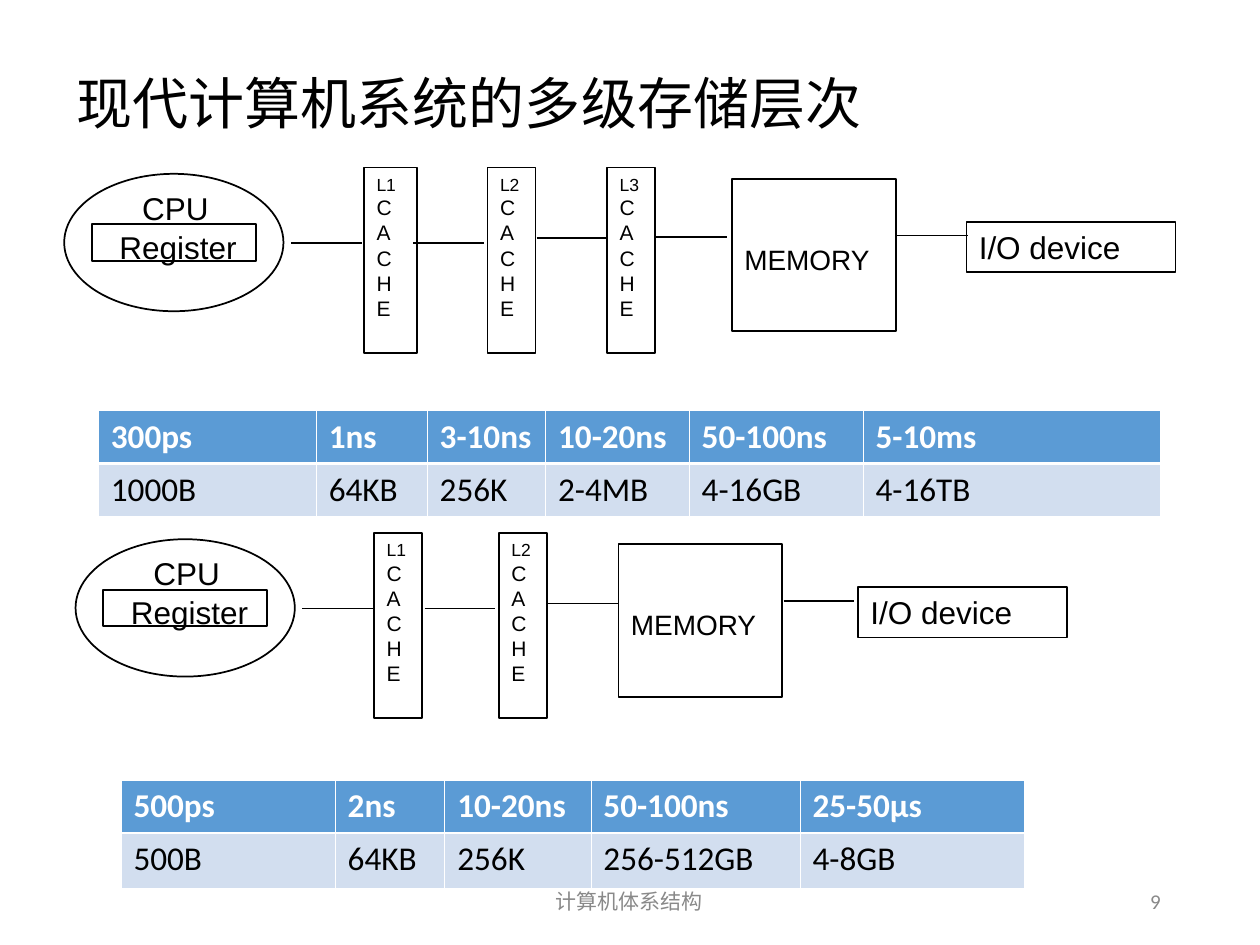
from pptx import Presentation
from pptx.dml.color import RGBColor
from pptx.enum.shapes import MSO_CONNECTOR, MSO_SHAPE
from pptx.enum.text import MSO_ANCHOR, PP_ALIGN
from pptx.oxml.ns import qn
from pptx.util import Inches, Pt
from lxml.etree import SubElement

COLORS = {
    "ink": "000000",
    "white": "FFFFFF",
    "footer": "898989",
    "header": "5B9BD5",
    "body": "D2DEEF",
}


def color(name):
    return RGBColor.from_string(COLORS[name])


def write_text(frame, lines, font="Arial", size=18, first_size=None, ink="ink",
               bold=False, align=PP_ALIGN.LEFT, anchor=MSO_ANCHOR.TOP, spacing=None):
    frame.word_wrap = True
    frame.vertical_anchor = anchor
    for index, line in enumerate(lines):
        paragraph = frame.paragraphs[0] if index == 0 else frame.add_paragraph()
        paragraph.text = line
        paragraph.alignment = align
        if spacing:
            paragraph.line_spacing = spacing
        paragraph.font.name = font
        paragraph.font.size = Pt(first_size if first_size and index == 0 else size)
        paragraph.font.bold = bold
        paragraph.font.color.rgb = color(ink)


class SlideBuilder:
    def __init__(self, slide):
        self.slide = slide
        self.line_width = Pt(1)
        self.table_font = "Calibri"
        self.table_size = 19

    def title(self, text, left, top, width, height):
        shape = self.slide.shapes.title
        shape.left, shape.top = Inches(left), Inches(top)
        shape.width, shape.height = Inches(width), Inches(height)
        write_text(shape.text_frame, [text], font="Calibri", size=32,
                   anchor=MSO_ANCHOR.MIDDLE, spacing=0.9)

    def label(self, text, left, top, width, height=0.4, **text_format):
        shape = self.slide.shapes.add_textbox(
            Inches(left), Inches(top), Inches(width), Inches(height))
        write_text(shape.text_frame, [text], **text_format)

    def box(self, left, top, width, height, lines=(), kind=MSO_SHAPE.RECTANGLE,
            **text_format):
        shape = self.slide.shapes.add_shape(
            kind, Inches(left), Inches(top), Inches(width), Inches(height))
        shape.shadow.inherit = False
        shape.fill.background()
        shape.line.color.rgb = color("ink")
        shape.line.width = self.line_width
        write_text(shape.text_frame, lines, **text_format)
        return shape

    def link(self, left, top, length=0.56):
        connector = self.slide.shapes.add_connector(
            MSO_CONNECTOR.STRAIGHT, Inches(left), Inches(top),
            Inches(left + length), Inches(top))
        connector.line.color.rgb = color("ink")
        connector.line.width = self.line_width
        SubElement(connector._element.spPr, qn("a:effectLst"))

    def cell_borders(self, cell, is_header):
        properties = cell._tc.get_or_add_tcPr()
        thick_side = "lnB" if is_header else "lnT"
        for side in ("lnL", "lnR", "lnT", "lnB"):
            width = Pt(1.47 if side == thick_side else 0.45)
            border = SubElement(properties, qn(f"a:{side}"), w=str(width))
            fill = SubElement(border, qn("a:solidFill"))
            SubElement(fill, qn("a:srgbClr"), val=COLORS["white"])

    def table(self, left, top, column_widths, row_heights, rows):
        table = self.slide.shapes.add_table(
            len(rows), len(column_widths), Inches(left), Inches(top),
            Inches(sum(column_widths)), Inches(sum(row_heights))).table
        for column, width in zip(table.columns, column_widths):
            column.width = Inches(width)
        for row_index, (row, height, values) in enumerate(
                zip(table.rows, row_heights, rows)):
            row.height = Inches(height)
            is_header = row_index == 0
            for cell, value in zip(row.cells, values):
                self.cell_borders(cell, is_header)
                cell.fill.solid()
                cell.fill.fore_color.rgb = color("header" if is_header else "body")
                write_text(cell.text_frame, [value], font=self.table_font,
                           size=self.table_size, bold=is_header,
                           ink="white" if is_header else "ink")

    def processor(self, left, top):
        self.box(left, top + 0.05, 1.74, 1.09, kind=MSO_SHAPE.OVAL)
        self.label("CPU", left + 0.52, top + 0.12, 0.94)
        self.box(left + 0.22, top + 0.45, 1.3, 0.29)
        self.label("Register", left + 0.34, top + 0.43, 1.16)

    def hierarchy(self, left, top, caches, memory_left, device_left, links):
        self.processor(left, top)
        for level, (cache_left, width) in enumerate(caches, start=1):
            self.box(left + cache_left, top, width, 1.47, [f"L{level}", *"CACHE"],
                     size=12, first_size=10)
        memory = self.box(left + memory_left, top + 0.09, 1.3, 1.21, ["MEMORY"],
                          size=16, anchor=MSO_ANCHOR.MIDDLE)
        memory.text_frame.margin_top = Inches(0.11)
        self.box(left + device_left, top + 0.43, 1.66, 0.4, ["I/O device"])
        for link_left, link_top in links:
            self.link(left + link_left, top + link_top)


def main():
    presentation = Presentation()
    presentation.slide_width, presentation.slide_height = Inches(10), Inches(7.5)
    slide = presentation.slides.add_slide(presentation.slide_layouts[5])
    builder = SlideBuilder(slide)

    builder.title("现代计算机系统的多级存储层次", 0.51, 0.36, 9.02, 0.97)
    footer_format = {"font": "Calibri", "size": 12, "ink": "footer",
                     "anchor": MSO_ANCHOR.MIDDLE}
    builder.label("计算机体系结构", 3.31, 6.95, 3.37, align=PP_ALIGN.CENTER, **footer_format)
    builder.label("9", 7.06, 6.95, 2.25, align=PP_ALIGN.RIGHT, **footer_format)

    common_links = [(1.8, 0.6), (2.77, 0.6), (3.75, 0.56)]
    builder.hierarchy(0.51, 1.33, [(2.38, 0.42), (3.36, 0.38), (4.31, 0.38)], 5.3, 7.16,
                      common_links + [(4.7, 0.55), (6.61, 0.54)])
    builder.table(0.78, 3.26, [1.73, 0.88, 0.94, 1.14, 1.38, 2.36], [0.42, 0.42], [
        ["300ps", "1ns", "3-10ns", "10-20ns", "50-100ns", "5-10ms"],
        ["1000B", "64KB", "256K", "2-4MB", "4-16GB", "4-16TB"],
    ])
    builder.hierarchy(0.6, 4.23, [(2.37, 0.38), (3.36, 0.38)], 4.31, 6.21,
                      common_links + [(5.62, 0.54)])
    builder.table(0.96, 6.19, [1.7, 0.87, 1.16, 1.66, 1.78], [0.42, 0.44], [
        ["500ps", "2ns", "10-20ns", "50-100ns", "25-50μs"],
        ["500B", "64KB", "256K", "256-512GB", "4-8GB"],
    ])
    presentation.save("out.pptx")


if __name__ == "__main__":
    main()
